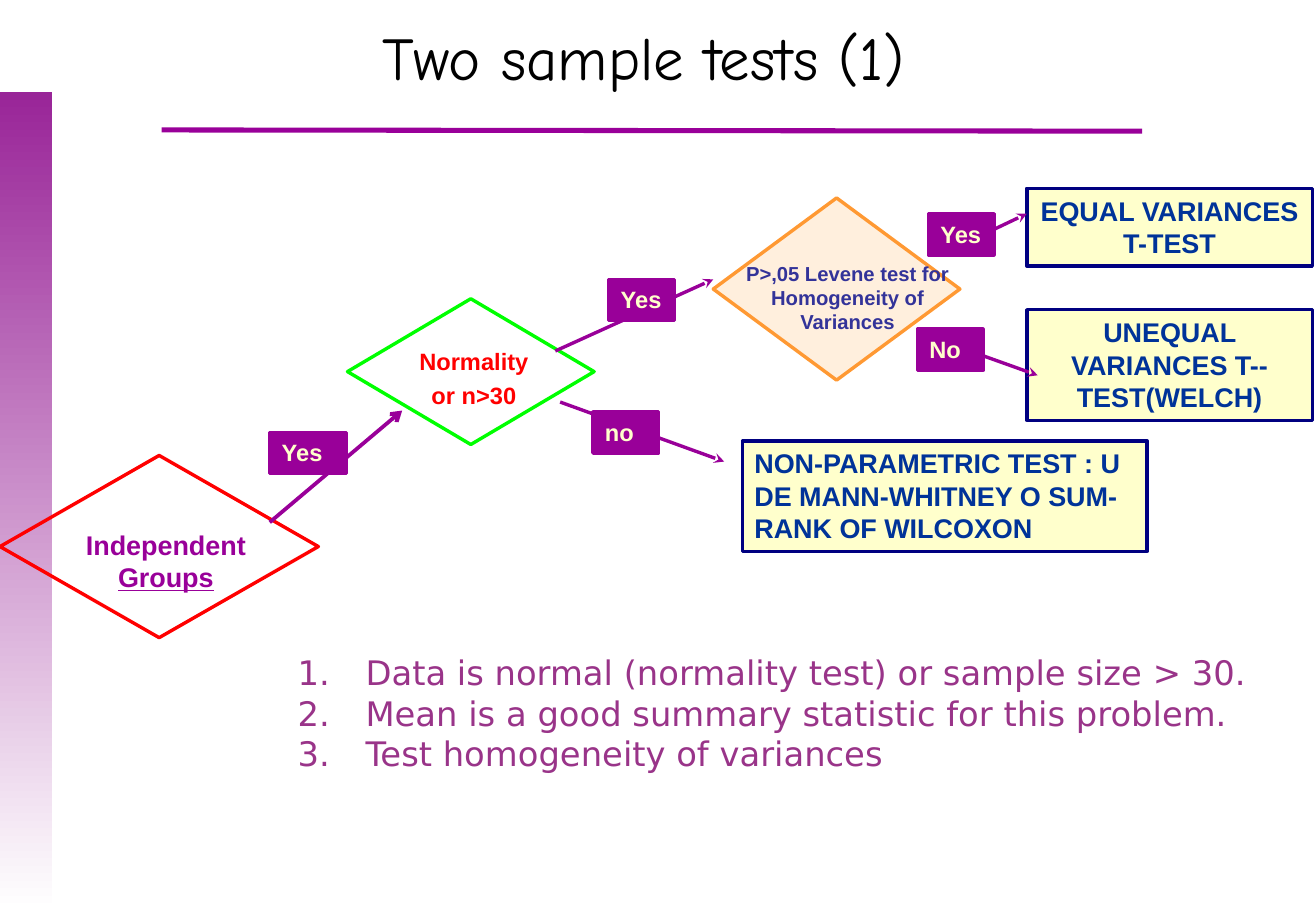
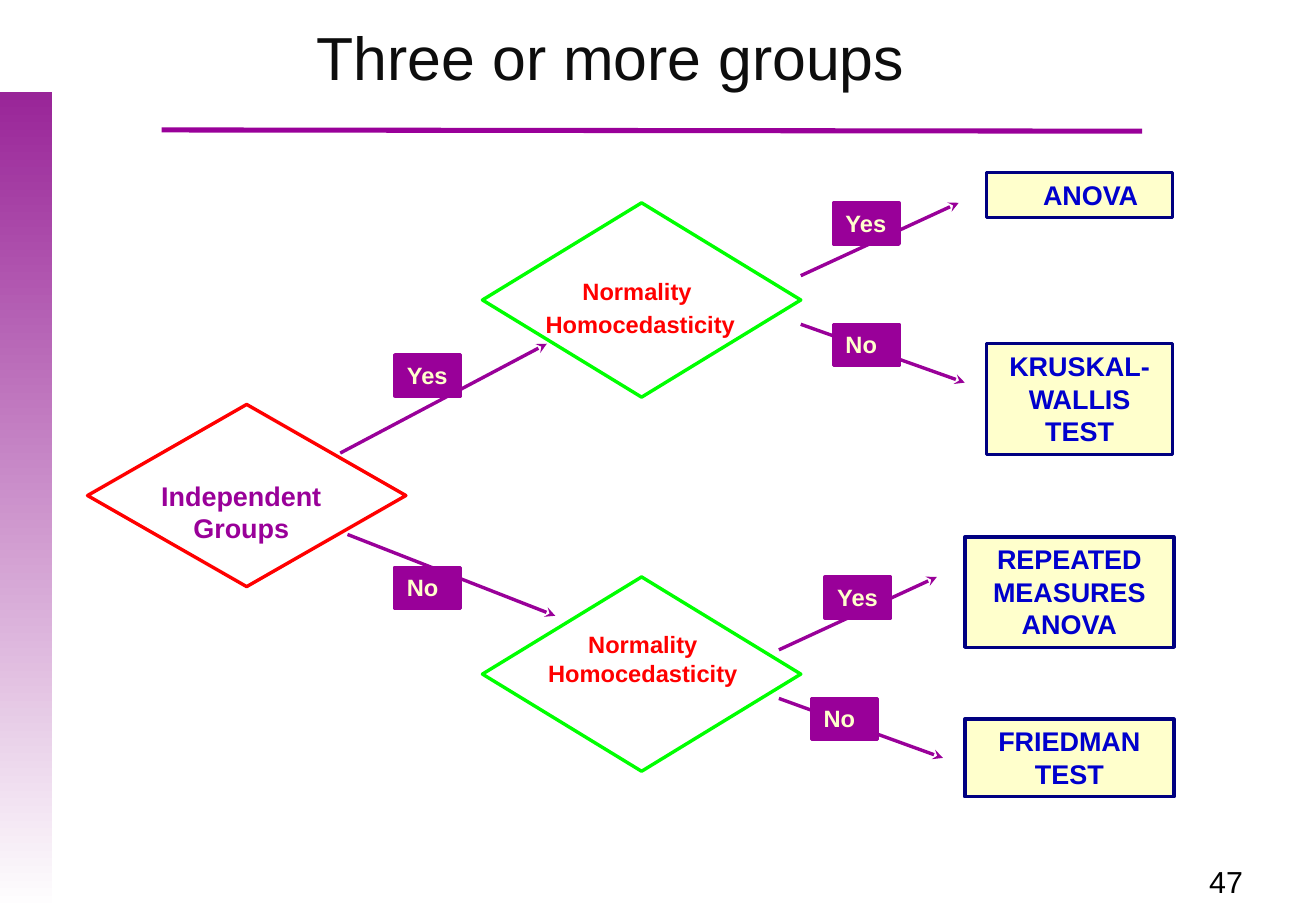
"""Build two decision-tree slides on choosing a statistical test."""
from typing import NamedTuple

from lxml.etree import SubElement
from pptx import Presentation
from pptx.dml.color import RGBColor
from pptx.enum.shapes import MSO_CONNECTOR, MSO_SHAPE
from pptx.enum.text import MSO_ANCHOR, MSO_AUTO_SIZE, PP_ALIGN
from pptx.oxml.ns import qn
from pptx.util import Pt

PX = 9144
TITLE_ONLY = 5
RECTANGLE = MSO_SHAPE.RECTANGLE
DIAMOND = MSO_SHAPE.FLOWCHART_DECISION
STRAIGHT = MSO_CONNECTOR.STRAIGHT
TOP, MIDDLE = MSO_ANCHOR.TOP, MSO_ANCHOR.MIDDLE
LEFT, CENTER, JUSTIFY = PP_ALIGN.LEFT, PP_ALIGN.CENTER, PP_ALIGN.JUSTIFY
FIXED = MSO_AUTO_SIZE.NONE


class Type(NamedTuple):
    size: int
    color: str
    bold: bool = True
    font: str = "Arial"


class Kind(NamedTuple):
    outline: str
    caption: Type
    fill: str = ""


class Theme:
    purple = "990099"
    band = ("992598", "FFFFFF")
    outcome_fill, outcome_line = "FFFFCC", "000080"
    rule_width, line_width = 3, 2
    label = Type(14, "FFFFCC")
    premise = Type(20, "993489", False, "DejaVu Sans")
    premise_leading, caption_gap = 24, 3
    page = Type(18, "000000", False)
    groups = Kind("FF0000", Type(16, purple))
    normality = Kind("00FF00", Type(14, "FF0000"))
    variances = Kind("FF9933", Type(12, "333399"), "FFEFDD")


class Outcome(NamedTuple):
    text: str
    left: int
    top: int
    width: int
    lines: int
    indent: int = 0
    align: int = CENTER


class Decision(NamedTuple):
    kind: Kind
    at: tuple
    caption: list
    caption_at: tuple
    underlined: str = ""


class Branch(NamedTuple):
    answer: str
    start: tuple
    end: tuple
    label_at: tuple
    label_width: int = 54
    head: str = "stealth"
    width: float = Theme.line_width


SLIDE_SIZE = (1083, 750)
BAND = (0, 76, 43, 674)
RULE = ((133, 107), (940, 108))
LABEL_HEIGHT = 34
INSET, LINE_HEIGHT = 10, 27
HANGING = 56

SLIDES = [
    {
        "title": "Two sample tests (1)",
        "title_at": (69, 0, 921, 92),
        "title_type": Type(36, "000000", False, "Comic Neue"),
        "outcome_type": Type(16, "003399"),
        "outcomes": [
            Outcome("EQUAL VARIANCES T-TEST", 845, 155, 235, 2),
            Outcome("UNEQUAL VARIANCES T--TEST(WELCH)", 845, 255, 235, 3),
            Outcome("NON-PARAMETRIC TEST : U DE MANN-WHITNEY O SUM-RANK OF WILCOXON",
                    611, 363, 333, 3, align=LEFT),
        ],
        "decisions": [
            Decision(Theme.groups, (0, 375, 262, 150), ["Independent "],
                     (22, 430, 229, 64), "Groups"),
            Decision(Theme.normality, (286, 246, 203, 120), ["Normality", "or n>30"],
                     (296, 281, 188, 62)),
            Decision(Theme.variances, (587, 163, 203, 150),
                     ["P>,05 Levene test for Homogeneity of Variances"],
                     (592, 210, 211, 127)),
        ],
        "branches": [
            Branch("Yes", (222, 430), (331, 338), (222, 356), 63, "arrow", 2.25),
            Branch("Yes", (457, 289), (587, 230), (501, 230)),
            Branch("no", (461, 331), (596, 380), (488, 339)),
            Branch("Yes", (782, 206), (845, 176), (764, 176)),
            Branch("No", (773, 280), (854, 309), (755, 271)),
        ],
        "premises": [
            "Data is normal (normality test) or sample size > 30.",
            "Mean is a good summary statistic for this problem.",
            "Test homogeneity of variances",
        ],
        "premises_at": (235, 532, 811, 111),
    },
    {
        "title": "Three or more groups",
        "title_at": (172, 0, 661, 92),
        "title_type": Type(36, "0D0D0D", False),
        "outcome_type": Type(16, "0000CC"),
        "outcomes": [
            Outcome("ANOVA", 812, 142, 153, 1, indent=18),
            Outcome("KRUSKAL- WALLIS TEST", 812, 283, 153, 3),
            Outcome("REPEATED MEASURES ANOVA", 794, 442, 172, 3),
            Outcome("FRIEDMAN TEST", 794, 592, 172, 2),
        ],
        "decisions": [
            Decision(Theme.groups, (72, 333, 262, 150), ["Independent Groups"],
                     (84, 390, 229, 64)),
            Decision(Theme.normality, (397, 167, 262, 160), ["Normality ", "Homocedasticity"],
                     (406, 223, 242, 62)),
            Decision(Theme.normality, (397, 475, 262, 160), ["Normality Homocedasticity"],
                     (408, 514, 242, 57)),
        ],
        "branches": [
            Branch("Yes", (280, 373), (450, 283), (325, 292)),
            Branch("No", (286, 440), (457, 507), (325, 467)),
            Branch("Yes", (659, 227), (789, 167), (686, 167)),
            Branch("No", (659, 267), (794, 315), (686, 267)),
            Branch("Yes", (641, 535), (771, 475), (679, 475)),
            Branch("No", (641, 575), (776, 624), (668, 575)),
        ],
        "page": "47",
        "page_at": (951, 706, 116, 31),
    },
]


def emu(lengths):
    return [length * PX for length in lengths]


def rgb(color):
    return RGBColor.from_string(color)


def write(frame, texts, style, align=LEFT, anchor=TOP):
    frame.word_wrap = True
    frame.auto_size = FIXED
    frame.vertical_anchor = anchor
    for index, text in enumerate(texts):
        paragraph = frame.paragraphs[0] if index == 0 else frame.add_paragraph()
        paragraph.add_run().text = text
        paragraph.alignment = align
        font = paragraph.font
        font.name, font.size, font.bold = style.font, Pt(style.size), style.bold
        font.color.rgb = rgb(style.color)


def add_text(shapes, at, texts, style, align=LEFT):
    box = shapes.add_textbox(*emu(at))
    write(box.text_frame, texts, style, align)
    return box


def add_block(shapes, preset, at, fill, outline):
    block = shapes.add_shape(preset, *emu(at))
    block.shadow.inherit = False
    if fill:
        block.fill.solid()
        block.fill.fore_color.rgb = rgb(fill)
    else:
        block.fill.background()
    block.line.color.rgb = rgb(outline)
    block.line.width = Pt(Theme.line_width)
    return block


def add_line(shapes, start, end, width, head=None):
    line = shapes.add_connector(STRAIGHT, *emu(start + end))
    line.line.color.rgb = rgb(Theme.purple)
    line.line.width = Pt(width)
    properties = line.element.spPr
    if head:
        SubElement(properties.find(qn("a:ln")), qn("a:tailEnd"), type=head)
    SubElement(properties, qn("a:effectLst"))


def add_frame(shapes):
    band = shapes.add_shape(RECTANGLE, *emu(BAND))
    band.shadow.inherit = False
    band.line.fill.background()
    band.fill.gradient()
    band.fill.gradient_angle = 270
    for stop, position, color in zip(band.fill.gradient_stops, (0, 1), Theme.band):
        stop.position = position
        stop.color.rgb = rgb(color)
    add_line(shapes, *RULE, Theme.rule_width)


def add_outcome(shapes, outcome, style):
    height = INSET + LINE_HEIGHT * outcome.lines
    box = add_block(shapes, RECTANGLE, (outcome.left, outcome.top, outcome.width, height),
                    Theme.outcome_fill, Theme.outcome_line)
    box.text_frame.margin_left += outcome.indent * PX
    write(box.text_frame, [outcome.text], style, outcome.align)


def add_decision(shapes, decision):
    parts = shapes.add_group_shape().shapes
    kind = decision.kind
    add_block(parts, DIAMOND, decision.at, kind.fill, kind.outline)
    caption = add_text(parts, decision.caption_at, decision.caption, kind.caption, CENTER)
    lines = caption.text_frame.paragraphs
    for line in lines[1:]:
        line.space_before = Pt(Theme.caption_gap)
    if decision.underlined:
        ending = lines[-1].add_run()
        ending.text = decision.underlined
        ending.font.underline = True


def add_branch(shapes, branch):
    parts = shapes.add_group_shape().shapes
    add_line(parts, branch.start, branch.end, branch.width, branch.head)
    label = add_block(parts, RECTANGLE, (*branch.label_at, branch.label_width, LABEL_HEIGHT),
                      Theme.purple, Theme.purple)
    write(label.text_frame, [branch.answer], Theme.label)


def add_premises(shapes, at, premises):
    numbered = add_text(shapes, at, premises, Theme.premise, JUSTIFY)
    for premise in numbered.text_frame.paragraphs:
        premise.line_spacing = Pt(Theme.premise_leading)
    for properties in numbered.element.findall(".//" + qn("a:pPr")):
        properties.set("marL", str(HANGING * PX))
        properties.set("indent", str(-HANGING * PX))
        number = SubElement(properties, qn("a:buAutoNum"), type="arabicPeriod")
        properties.find(qn("a:lnSpc")).addnext(number)


def add_slide(deck, content):
    shapes = deck.slides.add_slide(deck.slide_layouts[TITLE_ONLY]).shapes
    add_frame(shapes)
    title = shapes.title
    title.left, title.top, title.width, title.height = emu(content["title_at"])
    write(title.text_frame, [content["title"]], content["title_type"], CENTER, MIDDLE)
    for outcome in content["outcomes"]:
        add_outcome(shapes, outcome, content["outcome_type"])
    for decision in content["decisions"]:
        add_decision(shapes, decision)
    for branch in content["branches"]:
        add_branch(shapes, branch)
    if "premises" in content:
        add_premises(shapes, content["premises_at"], content["premises"])
    if "page" in content:
        add_text(shapes, content["page_at"], [content["page"]], Theme.page, CENTER)


def main():
    deck = Presentation()
    deck.slide_width, deck.slide_height = emu(SLIDE_SIZE)
    for content in SLIDES:
        add_slide(deck, content)
    deck.save("out.pptx")


if __name__ == "__main__":
    main()
